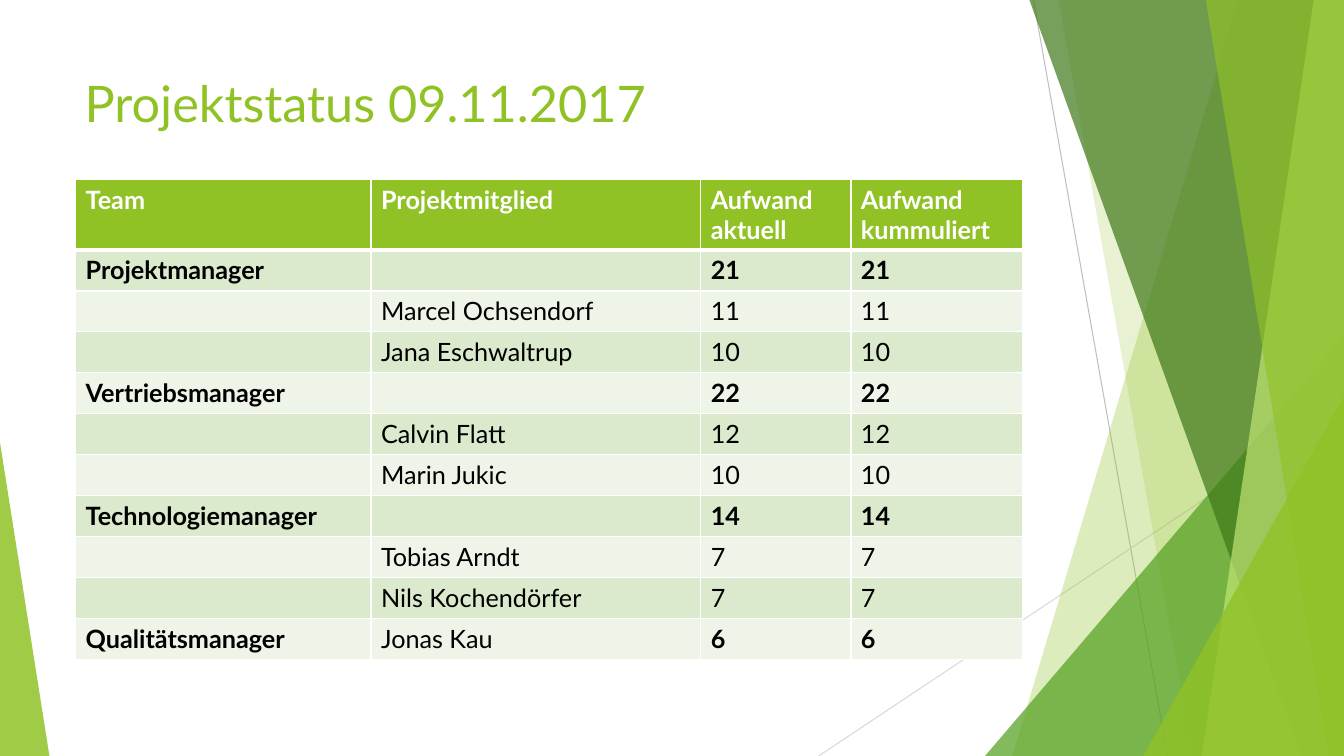
from lxml.etree import SubElement
from pptx import Presentation
from pptx.dml.color import RGBColor
from pptx.enum.shapes import MSO_CONNECTOR, MSO_SHAPE
from pptx.oxml.ns import qn
from pptx.util import Inches, Pt

FONT = "Lato"
WHITE = RGBColor(0xFF, 0xFF, 0xFF)
BLACK = RGBColor(0x00, 0x00, 0x00)
LIME = RGBColor(0x90, 0xC2, 0x26)
PALE_LIME = RGBColor(0xC0, 0xE4, 0x74)
GREEN = RGBColor(0x54, 0xA0, 0x21)
DARK_GREEN = RGBColor(0x3F, 0x78, 0x19)
GREY = RGBColor(0xBF, 0xBF, 0xBF)
LIGHT_GREY = RGBColor(0xD9, 0xD9, 0xD9)
BANDS = [RGBColor(0xEE, 0xF4, 0xE8), RGBColor(0xDB, 0xE9, 0xCD)]

WIDTH = 13.33
HEIGHT = 7.5
COLUMN_WIDTHS = [2.93, 3.27, 1.49, 1.7]
HEADER_HEIGHT = 0.7
ROW_HEIGHT = 0.406

HEADER = ["Team", "Projektmitglied", "Aufwand aktuell", "Aufwand kummuliert"]
STATUS = [
    ("Projektmanager", "", 21),
    ("", "Marcel Ochsendorf", 11),
    ("", "Jana Eschwaltrup", 10),
    ("Vertriebsmanager", "", 22),
    ("", "Calvin Flatt", 12),
    ("", "Marin Jukic", 10),
    ("Technologiemanager", "", 14),
    ("", "Tobias Arndt", 7),
    ("", "Nils Kochendörfer", 7),
    ("Qualitätsmanager", "Jonas Kau", 6),
]


def style_paragraph(paragraph, size, color, bold=False):
    paragraph.font.name = FONT
    paragraph.font.size = Pt(size)
    paragraph.font.bold = bold
    paragraph.font.color.rgb = color


def paint(shape, color, opacity):
    shape.shadow.inherit = False
    shape.line.fill.background()
    shape.fill.solid()
    shape.fill.fore_color.rgb = color
    color_element = shape.fill._xPr.find(qn("a:solidFill"))[0]
    SubElement(color_element, qn("a:alpha"), val=str(opacity * 1000))


def add_line(slide, start, end, color):
    points = [Inches(value) for value in (*start, *end)]
    connector = slide.shapes.add_connector(MSO_CONNECTOR.STRAIGHT, *points)
    connector.line.color.rgb = color
    connector.line.width = Pt(0.75)
    SubElement(connector._element.spPr, qn("a:effectLst"))


def add_edge_panel(slide, top_left, bottom_left, color, opacity):
    builder = slide.shapes.build_freeform(Inches(top_left), 0)
    corners = [(WIDTH, 0), (WIDTH, HEIGHT), (bottom_left, HEIGHT)]
    builder.add_line_segments([(Inches(x), Inches(y)) for x, y in corners])
    paint(builder.convert_to_shape(), color, opacity)


def add_corner_triangle(slide, left, top, width, apex, color, opacity):
    triangle = slide.shapes.add_shape(
        MSO_SHAPE.ISOSCELES_TRIANGLE,
        Inches(left), Inches(top), Inches(width), Inches(HEIGHT - top))
    triangle.adjustments[0] = apex
    paint(triangle, color, opacity)


def add_background(slide):
    add_line(slide, (10.25, 0), (11.58, HEIGHT), GREY)
    add_line(slide, (WIDTH, 4.03), (8.12, HEIGHT), LIGHT_GREY)
    add_edge_panel(slide, 12.28, 10.04, LIME, 30)
    add_edge_panel(slide, 10.5, 11.83, LIME, 20)
    add_corner_triangle(slide, 9.77, 3.33, 3.56, 1, GREEN, 72)
    add_edge_panel(slide, 10.21, 12.91, DARK_GREEN, 70)
    add_edge_panel(slide, 13.03, 11.92, PALE_LIME, 70)
    add_edge_panel(slide, 11.96, 13.18, LIME, 65)
    add_corner_triangle(slide, 11.34, 3.93, 1.99, 1, LIME, 80)
    add_corner_triangle(slide, 0, 4.39, 0.49, 0, LIME, 85)


def add_title(slide, text):
    title = slide.shapes.add_textbox(
        Inches(0.74), Inches(0.67), Inches(9.4), Inches(1.44))
    title.text_frame.word_wrap = True
    paragraph = title.text_frame.paragraphs[0]
    paragraph.text = text
    style_paragraph(paragraph, 36, LIME)


def set_borders(cell, bottom_width):
    properties = cell._tc.get_or_add_tcPr()
    widths = {"a:lnL": 1, "a:lnR": 1, "a:lnT": 1, "a:lnB": bottom_width}
    for position, (side, width) in enumerate(widths.items()):
        line = SubElement(properties, qn(side), w=str(Pt(width)))
        fill = SubElement(line, qn("a:solidFill"))
        SubElement(fill, qn("a:srgbClr"), val=str(WHITE))
        properties.insert(position, line)


def fill_cell(cell, text, fill, color, bold, bottom_width=1):
    cell.fill.solid()
    cell.fill.fore_color.rgb = fill
    set_borders(cell, bottom_width)
    paragraph = cell.text_frame.paragraphs[0]
    paragraph.text = text
    style_paragraph(paragraph, 18, color, bold)


def add_status_table(slide):
    table = slide.shapes.add_table(
        len(STATUS) + 1, len(HEADER), Inches(0.75), Inches(1.78),
        Inches(sum(COLUMN_WIDTHS)),
        Inches(HEADER_HEIGHT + ROW_HEIGHT * len(STATUS))).table
    for column, width in zip(table.columns, COLUMN_WIDTHS):
        column.width = Inches(width)
    for row in table.rows:
        row.height = Inches(ROW_HEIGHT)
    table.rows[0].height = Inches(HEADER_HEIGHT)
    for column, text in enumerate(HEADER):
        fill_cell(table.cell(0, column), text, LIME, WHITE, True, 3)
    for row, (team, member, effort) in enumerate(STATUS, start=1):
        for column, text in enumerate([team, member, str(effort), str(effort)]):
            bold = bool(team) and column != 1
            fill_cell(table.cell(row, column), text, BANDS[row % 2], BLACK, bold)


def main():
    presentation = Presentation()
    presentation.slide_width = Inches(WIDTH)
    presentation.slide_height = Inches(HEIGHT)
    slide = presentation.slides.add_slide(presentation.slide_layouts[6])
    add_background(slide)
    add_title(slide, "Projektstatus 09.11.2017")
    add_status_table(slide)
    presentation.save("out.pptx")


if __name__ == "__main__":
    main()
